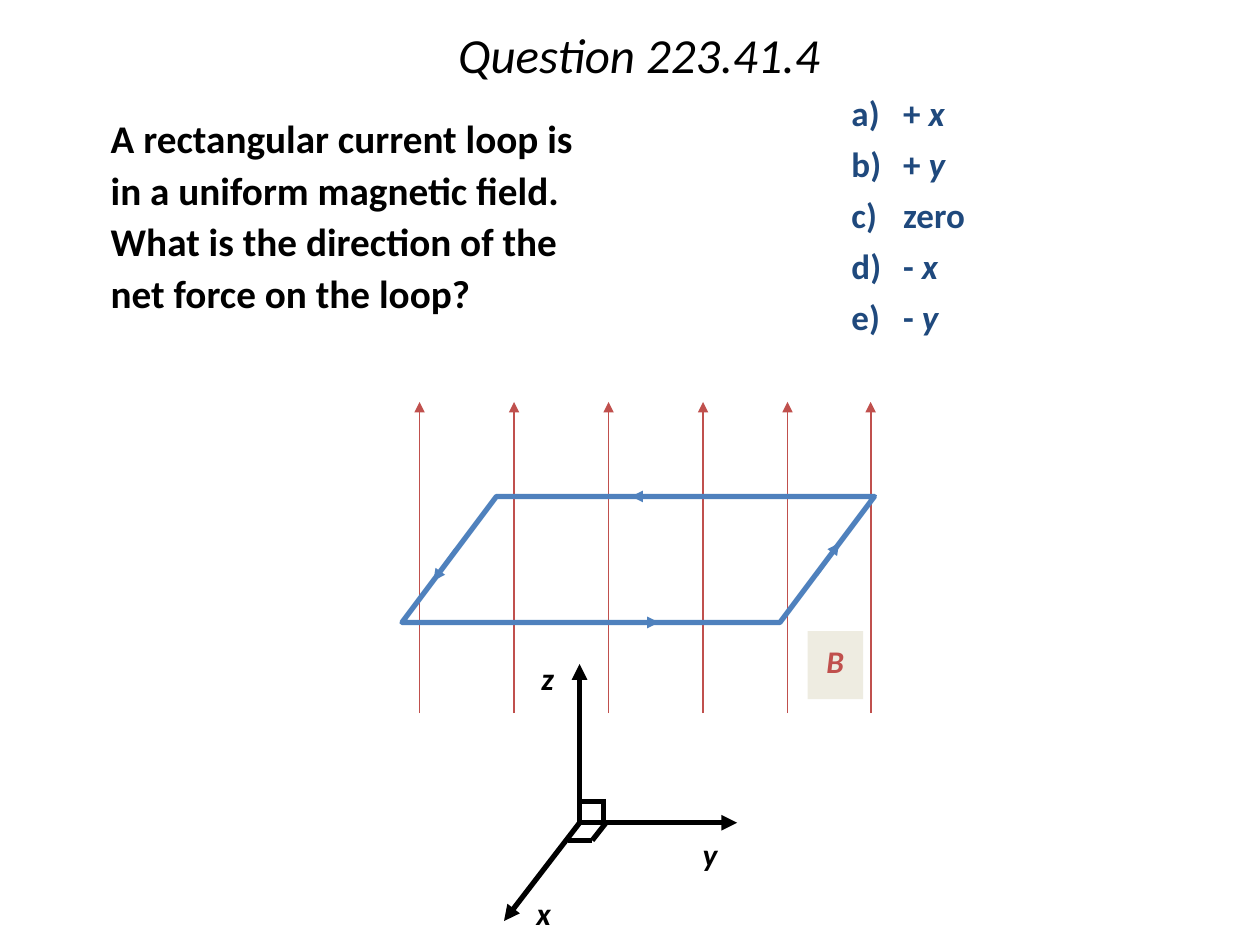
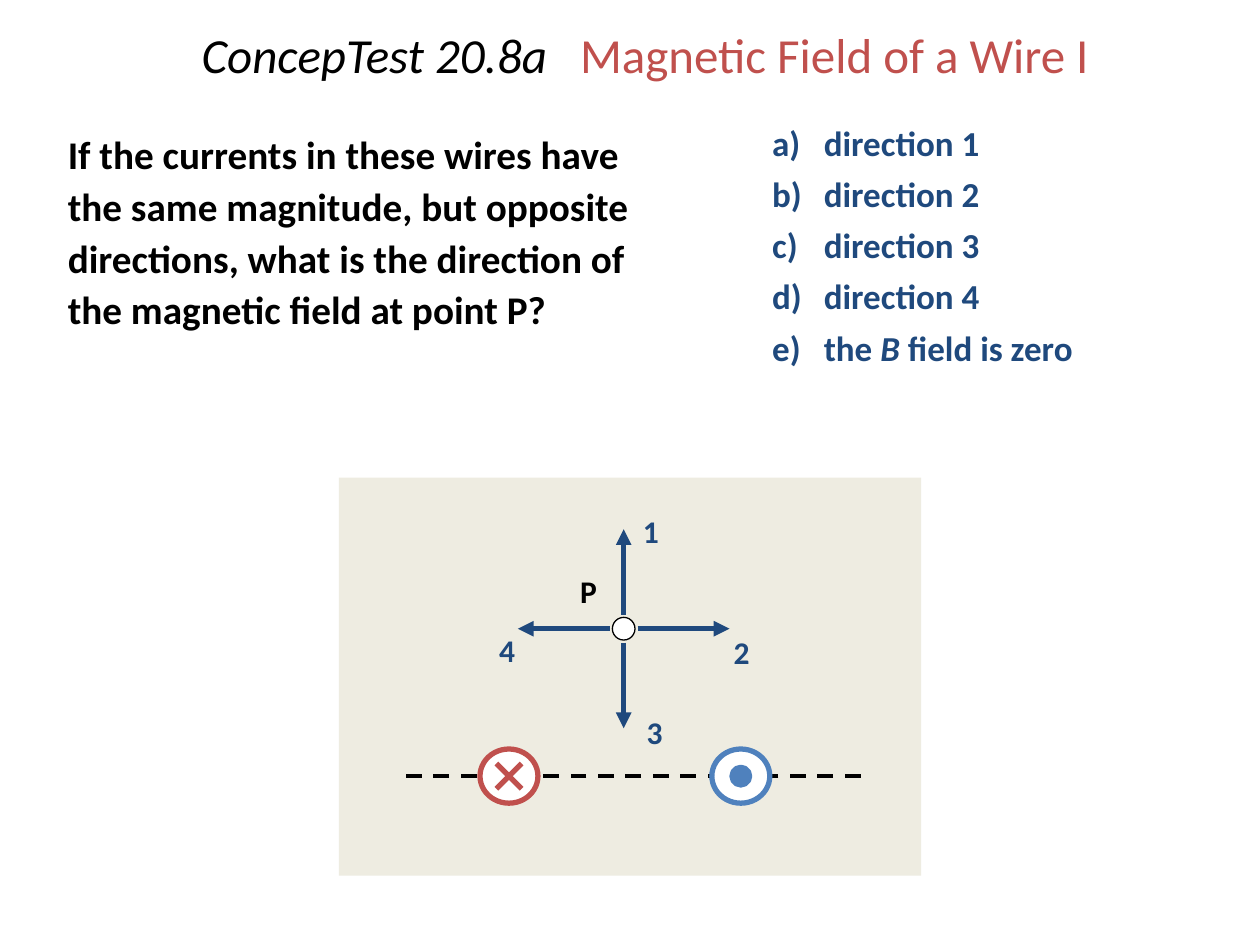
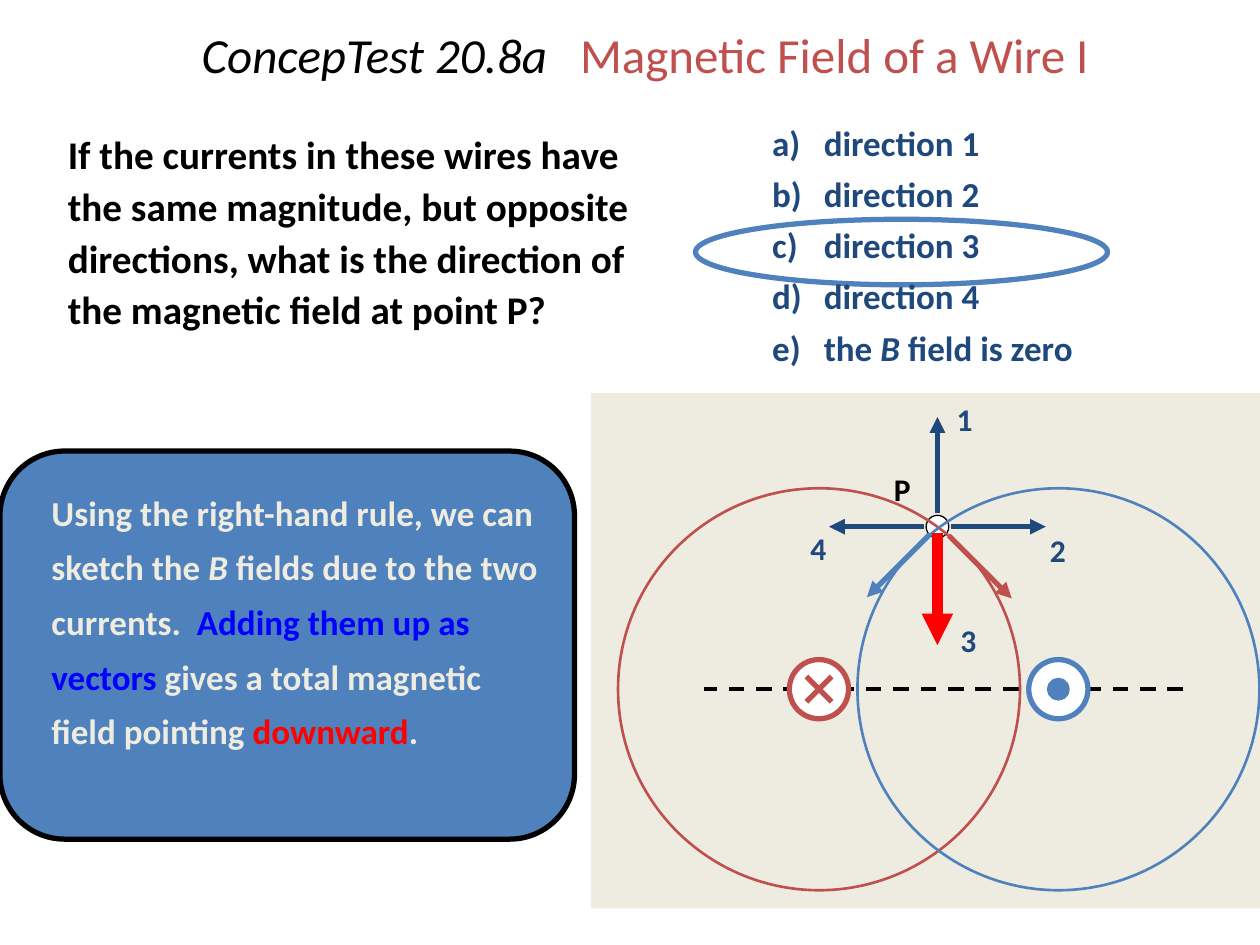
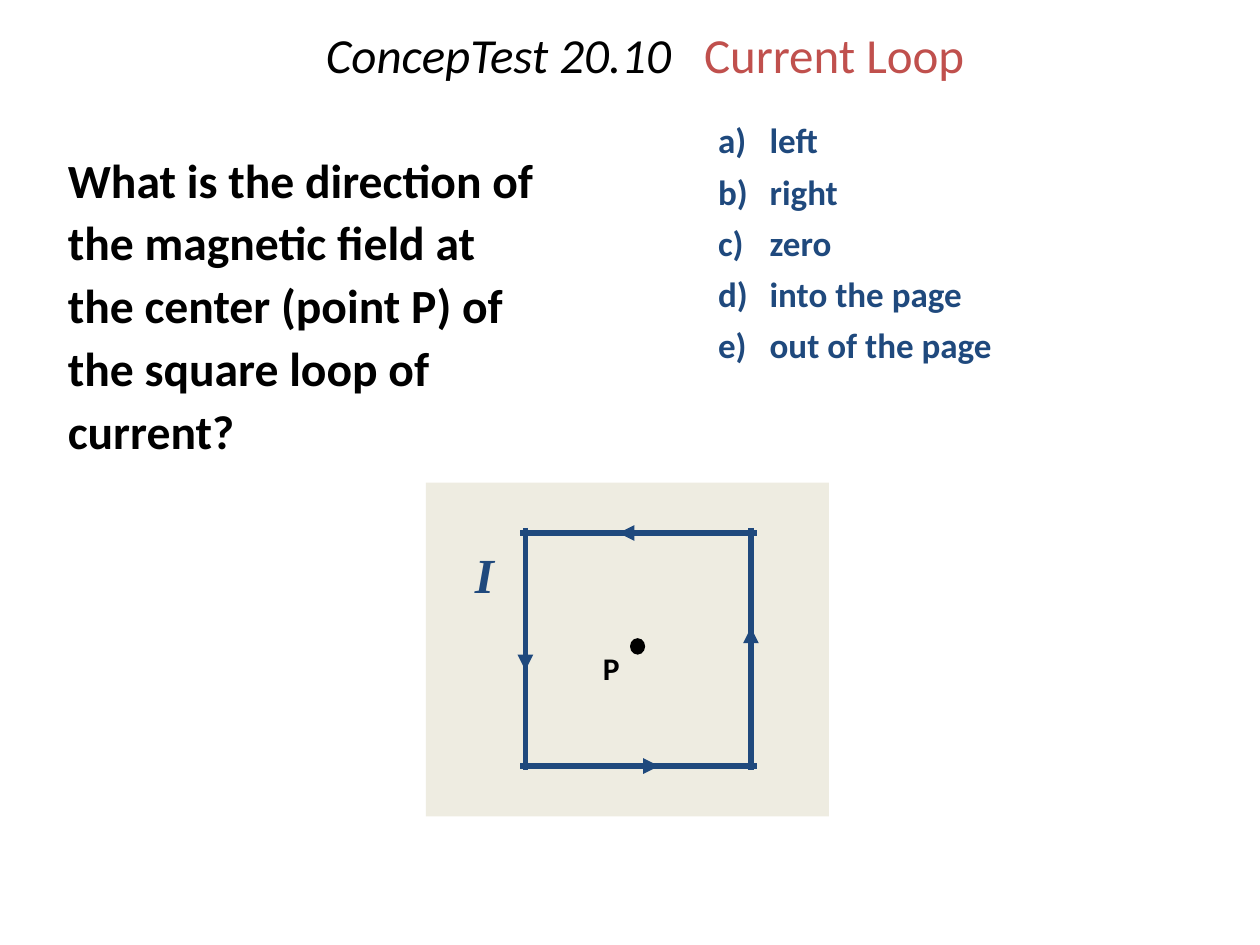
from lxml.etree import SubElement
from pptx import Presentation
from pptx.dml.color import RGBColor
from pptx.enum.dml import MSO_LINE
from pptx.enum.shapes import MSO_CONNECTOR, MSO_SHAPE as SHAPE
from pptx.enum.text import MSO_ANCHOR as ANCHOR, MSO_AUTO_SIZE, PP_ALIGN as ALIGN
from pptx.oxml.ns import qn
from pptx.util import Inches, Pt

COLORS = {
    "black": "000000", "white": "FFFFFF", "panel": "EEECE1", "navy": "1F497D",
    "blue": "4F81BD", "red": "C0504D", "bright_blue": "0000FF", "bright_red": "FF0000",
}
WIRE_QUESTION = ("If the currents in these wires have the same magnitude, but opposite "
                 "directions, what is the direction of the magnetic field at point P?")
WIRE_ANSWERS = [("direction 1",), ("direction 2",), ("direction 3",), ("direction 4",),
                ("the ", "B", " field is zero")]
WIRE_TITLE = ("ConcepTest 20.8a", "Magnetic Field of a Wire I")


def color_of(name):
    """Return the palette colour with this name."""
    return RGBColor.from_string(COLORS[name])


def add_run(paragraph, text, size=20, color="black", bold=True, italic=False,
            font="Calibri", spacing=0):
    """Append a formatted run to a paragraph."""
    run = paragraph.add_run()
    run.text = text
    run.font.name = font
    run.font.size = Pt(size)
    run.font.bold = bold
    run.font.italic = italic
    run.font.color.rgb = color_of(color)
    if spacing:
        run.font._element.set("spc", str(spacing))


def indent(paragraph, left, first=0):
    """Set the left margin and first-line indent in inches."""
    properties = paragraph._p.get_or_add_pPr()
    properties.set("marL", str(Inches(left)))
    properties.set("indent", str(Inches(first)))


class Deck:
    """Hold the presentation style and the current slide."""

    def __init__(self):
        """Start an empty presentation."""
        self.presentation = Presentation()
        self.presentation.slide_width = Inches(10)
        self.presentation.slide_height = Inches(7.5)
        self.slide = None

    def new_slide(self, heading, topic=None, left=0.72, width=8.8):
        """Add a slide with an italic heading and an optional red topic."""
        self.slide = self.presentation.slides.add_slide(self.presentation.slide_layouts[5])
        title = self.slide.shapes.title
        title.left, title.top = Inches(left), Inches(0)
        title.width, title.height = Inches(width), Inches(0.92)
        frame = title.text_frame
        frame.auto_size = MSO_AUTO_SIZE.NONE
        frame.vertical_anchor = ANCHOR.MIDDLE
        paragraph = frame.paragraphs[0]
        paragraph.alignment = ALIGN.CENTER
        paragraph.line_spacing = 0.9
        add_run(paragraph, heading, 28, bold=False, italic=True)
        if topic:
            add_run(paragraph, " ", 28, bold=False, spacing=1260)
            add_run(paragraph, topic, 28, "red", bold=False)

    def text_box(self, left, top, width, height, line_spacing, wrap=True):
        """Add a text box and return it with its first paragraph."""
        box = self.slide.shapes.add_textbox(Inches(left), Inches(top),
                                            Inches(width), Inches(height))
        box.text_frame.word_wrap = wrap
        paragraph = box.text_frame.paragraphs[0]
        paragraph.line_spacing = line_spacing
        return box, paragraph

    def question(self, text, left, top, width, height, size=22.4):
        """Add the bold question."""
        _, paragraph = self.text_box(left, top, width, height, 1.1)
        indent(paragraph, 0.44)
        add_run(paragraph, text, size)

    def answers(self, choices, left, top, width):
        """Add lettered answers whose every second part is italic."""
        box, paragraph = self.text_box(left, top, width, 2.13, 0.8)
        for number, parts in enumerate(choices):
            if number:
                paragraph = box.text_frame.add_paragraph()
                paragraph.line_spacing = 0.8
                paragraph.space_before = Pt(10)
            indent(paragraph, 0.41, -0.41)
            add_run(paragraph, f"{'abcde'[number]})\t", color="navy")
            for index, part in enumerate(parts):
                add_run(paragraph, part, color="navy", italic=index % 2 == 1)

    def label(self, text, left, top, width=0.39, height=0.54, fill=None, middle=False,
              size=18, **style):
        """Add a short centred label."""
        box, paragraph = self.text_box(left, top, width, height, 1.11, wrap=False)
        if middle:
            box.text_frame.vertical_anchor = ANCHOR.MIDDLE
        if fill:
            box.fill.solid()
            box.fill.fore_color.rgb = color_of(fill)
        paragraph.alignment = ALIGN.CENTER
        add_run(paragraph, text, size, **style)

    def shape(self, kind, left, top, width, height, fill=None, line=None, weight=3):
        """Add a preset shape."""
        shape = self.slide.shapes.add_shape(kind, Inches(left), Inches(top),
                                            Inches(width), Inches(height))
        shape.shadow.inherit = False
        if fill:
            shape.fill.solid()
            shape.fill.fore_color.rgb = color_of(fill)
        else:
            shape.fill.background()
        if line:
            shape.line.color.rgb = color_of(line)
            shape.line.width = Pt(weight)
        else:
            shape.line.fill.background()

    def ellipse(self, x, y, width, height, **style):
        """Add an ellipse around a centre."""
        self.shape(SHAPE.OVAL, x - width / 2, y - height / 2, width, height, **style)

    def line(self, start, end, color="black", weight=3, arrow=False, dashed=False):
        """Add a straight line, with an arrowhead at its end if wanted."""
        connector = self.slide.shapes.add_connector(
            MSO_CONNECTOR.STRAIGHT, *(Inches(value) for value in (*start, *end)))
        connector.line.color.rgb = color_of(color)
        connector.line.width = Pt(weight)
        if dashed:
            connector.line.dash_style = MSO_LINE.DASH
        if arrow:
            SubElement(connector.line._get_or_add_ln(), qn("a:tailEnd"), type="triangle")
        SubElement(connector._element.spPr, qn("a:effectLst"))

    def arrow(self, start, end, color="black", weight=3):
        """Add an arrow."""
        self.line(start, end, color, weight, arrow=True)

    def compass(self, x, y, reach_x, reach_y):
        """Draw point P with the four numbered directions."""
        self.ellipse(x, y, 0.18, 0.18, fill="white", line="black", weight=0.75)
        self.label("P", x - 0.49, y - 0.59, width=0.42, middle=True)
        for across, down in ((0, -1), (1, 0), (0, 1), (-1, 0)):
            self.arrow((x + 0.11 * across, y + 0.11 * down),
                       (x + reach_x * across, y + reach_y * down), "navy")
        places = ((x + 0.02, y - reach_y - 0.22), (x + reach_x - 0.1, y - 0.05),
                  (x + 0.05, y + reach_y - 0.2), (x - reach_x - 0.28, y - 0.06))
        for number, (left, top) in enumerate(places, 1):
            self.label(str(number), left, top, color="navy")

    def wire_in(self, x, y, width, height):
        """Draw a wire with current into the page."""
        self.ellipse(x, y, width, height, fill="white", line="red")
        for rise in (-0.1, 0.1):
            self.line((x - 0.1, y - rise), (x + 0.1, y + rise), "red")

    def wire_out(self, x, y, width, height):
        """Draw a wire with current out of the page."""
        self.ellipse(x, y, width, height, fill="white", line="blue")
        self.ellipse(x, y, 0.14, 0.14, fill="blue", line="blue")


def force_slide(deck):
    """Ask for the net force on a loop in a uniform field."""
    deck.new_slide("Question 223.41.4", left=0.61, width=8.92)
    deck.question("A rectangular current loop is in a uniform magnetic field. "
                  "What is the direction of the net force on the loop?", 0.34, 0.82, 4.59, 1.97)
    for index, x in enumerate((3.33, 4.08, 4.83, 5.58, 6.25, 6.91)):
        deck.arrow((x, 5.66), (x, 3.19), "red", 1)
        if index == 0:
            deck.label("B", 6.41, 5.01, width=0.44, fill="panel", color="red", italic=True)
    deck.shape(SHAPE.FLOWCHART_DATA, 3.19, 3.94, 3.75, 1, line="blue")
    for start, end in (((3.62, 4.36), (3.44, 4.61)), ((5.39, 3.94), (5.01, 3.94)),
                       ((4.86, 4.94), (5.23, 4.94)), ((6.48, 4.56), (6.66, 4.31))):
        deck.arrow(start, end, "blue", 2.25)
    origin = (4.6, 6.53)
    for tip in ((4, 7.31), (5.85, 6.53), (4.6, 5.27)):
        deck.arrow(origin, tip)
    for start, end in (((4.51, 6.67), (4.7, 6.67)), ((4.7, 6.67), (4.81, 6.53)),
                       ((4.6, 6.36), (4.8, 6.36)), ((4.79, 6.34), (4.79, 6.53))):
        deck.line(start, end)
    for axis, left, top in (("x", 4.12, 6.96), ("z", 4.15, 5.09), ("y", 5.44, 6.49)):
        deck.label(axis, left, top, middle=True, italic=True)
    deck.answers([("+ ", "x"), ("+ ", "y"), ("zero",), ("- ", "x"), ("- ", "y")],
                 6.66, 0.74, 2.53)


def wire_text(deck):
    """Add the question and answers about the two wires."""
    deck.question(WIRE_QUESTION, 0, 0.95, 5.17, 2.17)
    deck.answers(WIRE_ANSWERS, 6.03, 0.98, 3.69)


def wire_slide(deck):
    """Ask for the field of two opposite currents."""
    deck.new_slide(*WIRE_TITLE)
    deck.shape(SHAPE.RECTANGLE, 2.69, 3.79, 4.62, 3.16, fill="panel")
    deck.line((6.83, 6.16), (3.15, 6.16), weight=2.25, dashed=True)
    deck.wire_in(4.04, 6.16, 0.46, 0.43)
    deck.wire_out(5.88, 6.16, 0.46, 0.43)
    deck.compass(4.95, 4.99, 0.84, 0.79)
    wire_text(deck)


def wire_answer_slide(deck):
    """Explain the field of two opposite currents."""
    deck.new_slide(*WIRE_TITLE)
    deck.shape(SHAPE.RECTANGLE, 4.69, 3.12, 5.31, 4.09, fill="panel")
    deck.shape(SHAPE.ROUNDED_RECTANGLE, 0, 3.58, 4.56, 3.08, fill="blue", line="black")
    _, paragraph = deck.text_box(0, 3.75, 4.38, 2.7, 1.3)
    indent(paragraph, 0.31)
    for text, color, italic in (
            ("Using the right-hand rule, we can sketch the ", "panel", False),
            ("B", "panel", True),
            (" fields due to the two currents.  ", "panel", False),
            ("Adding them up as vectors", "bright_blue", False),
            (" gives a total magnetic field pointing ", "panel", False),
            ("downward", "bright_red", False),
            (".", "panel", False)):
        add_run(paragraph, text, color=color, italic=italic)
    deck.shape(SHAPE.OVAL, 5.52, 1.74, 3.27, 0.52, line="blue")
    deck.line((9.39, 5.47), (5.59, 5.47), weight=2.25, dashed=True)
    deck.compass(7.44, 4.18, 0.86, 0.87)
    wires = ((6.5, "red", (7.53, 4.25), (8.03, 4.75), deck.wire_in),
             (8.4, "blue", (7.38, 4.24), (6.88, 4.74), deck.wire_out))
    for x, color, start, end, _ in wires:
        deck.arrow(start, end, color)
        deck.ellipse(x, 5.47, 3.19, 3.19, line=color, weight=1.5)
    for x, *_, draw_wire in wires:
        draw_wire(x, 5.47, 0.47, 0.47)
    deck.arrow((7.44, 4.23), (7.44, 5.12), "bright_red", 6)
    wire_text(deck)


def loop_slide(deck):
    """Ask for the field at the center of a square loop."""
    deck.new_slide("ConcepTest 20.10", "Current Loop")
    deck.question("What is the direction of the magnetic field at the center (point P) "
                  "of the square loop of current?", 0, 1.1, 4.46, 2.08, size=27.2)
    deck.shape(SHAPE.RECTANGLE, 3.38, 3.83, 3.2, 2.65, fill="panel")
    for x, start, end in ((4.17, 5.11, 5.32), (5.96, 5.19, 4.98)):
        deck.line((x, 4.19), (x, 6.11), "navy")
        deck.arrow((x, start), (x, end), "navy")
    for y, start, end in ((6.08, 5.03, 5.23), (4.23, 5.11, 4.91)):
        deck.line((4.13, y), (6.01, y), "navy")
        deck.arrow((start, y), (end, y), "navy")
    deck.ellipse(5.06, 5.13, 0.11, 0.12, fill="black", line="black", weight=0.75)
    deck.label("P", 4.64, 5.07, width=0.42)
    deck.label("I", 3.67, 4.22, width=0.35, height=0.62, size=28, color="navy",
               italic=True, font="Times New Roman")
    deck.answers([("left",), ("right",), ("zero",), ("into the page",),
                  ("out of the page",)], 5.6, 0.96, 4.11)


def main():
    """Build the four slides and save them."""
    deck = Deck()
    for build in (force_slide, wire_slide, wire_answer_slide, loop_slide):
        build(deck)
    deck.presentation.save("out.pptx")


if __name__ == "__main__":
    main()
